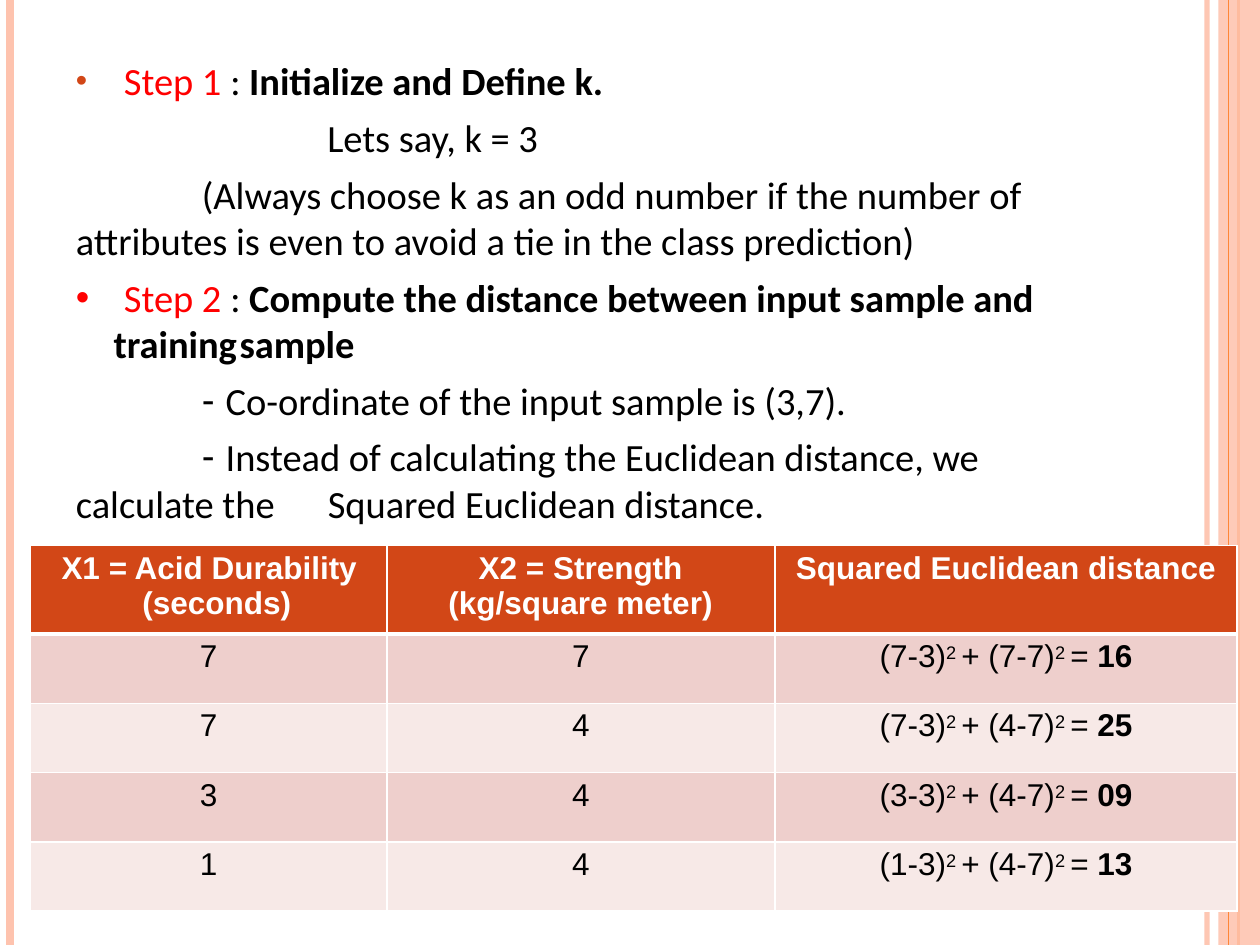
from collections import namedtuple
from dataclasses import dataclass

from lxml.etree import SubElement
from pptx import Presentation
from pptx.dml.color import RGBColor as RGB
from pptx.enum.shapes import MSO_CONNECTOR as CONN, MSO_SHAPE as SHAPE
from pptx.enum.text import PP_ALIGN as ALIGN
from pptx.oxml.ns import qn
from pptx.util import Cm, Pt

Box = namedtuple("Box", "x y w h")


@dataclass(frozen=True)
class Theme:
    peach: str = "FEC3AE"
    orange: str = "FE8637"
    rust: str = "D24717"
    band_dark: str = "EECFCC"
    band_light: str = "F7E9E7"
    red: str = "FF0000"
    black: str = "000000"
    white: str = "FFFFFF"
    body_font: str = "Calibri"
    table_font: str = "Arial"
    body_size: int = 22
    table_size: int = 18


T = Theme()


def add_run(p, text, font, size, color, bold=False, superscript=False):
    r = p.add_run()
    r.text = text
    r.font.name, r.font.size, r.font.bold = font, Pt(size), bold
    r.font.color.rgb = RGB.from_string(color)
    if superscript:
        r.font._element.set("baseline", "25000")


def set_indent(p, left, first):
    pPr = p._p.get_or_add_pPr()
    pPr.set("marL", str(Cm(left)))
    pPr.set("indent", str(Cm(first)))
    return pPr


def set_bullet(pPr, char, color=None, percent=None):
    if color:
        SubElement(SubElement(pPr, qn("a:buClr")), qn("a:srgbClr"), val=color)
    if percent:
        SubElement(pPr, qn("a:buSzPct"), val=str(percent * 1000))
    if char == "•":
        SubElement(pPr, qn("a:buFont"), typeface=T.table_font)
    SubElement(pPr, qn("a:buChar"), char=char)


def set_alpha(fill_parent, percent):
    color = next(fill_parent.iter(qn("a:srgbClr")))
    SubElement(color, qn("a:alpha"), val=str(percent * 1000))


def add_stripe(s, box, x, color, width, alpha=None):
    line = s.shapes.add_connector(CONN.STRAIGHT, Cm(box.x + x), Cm(box.y),
                                  Cm(box.x + x), Cm(box.y + box.h))
    line.line.color.rgb = RGB.from_string(color)
    line.line.width = Pt(width)
    if alpha:
        set_alpha(line._element.spPr, alpha)
    SubElement(line._element.spPr, qn("a:effectLst"))


def add_side_stripes(s, box):
    band_w = 0.84
    add_stripe(s, box, 24.33, T.peach, 3, alpha=93)
    add_stripe(s, box, 0.2, T.peach, 4.5)
    add_stripe(s, box, 24.97, T.orange, 1.5)
    band = s.shapes.add_shape(SHAPE.RECTANGLE, Cm(box.x + box.w - band_w),
                              Cm(box.y), Cm(band_w), Cm(box.h))
    band.shadow.inherit = False
    band.fill.solid()
    band.fill.fore_color.rgb = RGB.from_string(T.peach)
    set_alpha(band._element.spPr, 87)
    band.line.fill.background()
    add_stripe(s, box, 24.77, T.orange, 0.75)


def add_steps(s, box):
    step, plain, dash = (1, -0.97), (0.03, 0), (3.05, -0.48)
    # indent, space before, bullet, tab stop, runs of (text, colour, bold)
    paragraphs = [
        (step, 7, ("•", T.rust, 84), None,
         [("Step 1 ", T.red, False), (": ", T.black, False),
          ("Initialize and Define k.", T.black, True)]),
        ((5.1, 0), 6, None, None, [("Lets say, k = 3", T.black, False)]),
        ((0.03, 2.54), 6, None, None,
         [("(Always choose k as an odd number if the number of attributes "
           "is even to avoid a tie in the class prediction)", T.black, False)]),
        (step, 6, ("•",), None,
         [("Step 2 ", T.red, False), (": ", T.black, False),
          ("Compute the distance between input sample and", T.black, True)]),
        ((0.79, 0), 0, None, 5.77, [("training\tsample", T.black, True)]),
        (dash, 6, ("-",), None,
         [("Co-ordinate of the input sample is (3,7).", T.black, False)]),
        (dash, 6, ("-",), None,
         [("Instead of calculating the Euclidean distance, we", T.black, False)]),
        (plain, 0, None, 8.08,
         [("calculate the\tSquared Euclidean distance.", T.black, False)]),
    ]
    tf = s.shapes.add_textbox(*map(Cm, box)).text_frame
    tf.word_wrap = True
    tf.margin_left = tf.margin_right = tf.margin_bottom = 0
    tf.margin_top = Cm(0.25)
    for i, (indent, before, bullet, tab, runs) in enumerate(paragraphs):
        p = tf.add_paragraph() if i else tf.paragraphs[0]
        p.space_before = Pt(before)
        pPr = set_indent(p, *indent)
        if bullet:
            set_bullet(pPr, *bullet)
        if tab:
            SubElement(SubElement(pPr, qn("a:tabLst")), qn("a:tab"),
                       pos=str(Cm(tab)), algn="l")
        for text, color, bold in runs:
            add_run(p, text, T.body_font, T.body_size, color, bold)


def style_cell(cell, fill, top, bottom):
    """Set margins, white borders (top and bottom in points) and the fill."""
    cell.margin_left = cell.margin_right = cell.margin_bottom = 0
    cell.margin_top = Cm(0.1)
    tcPr = cell._tc.get_or_add_tcPr()
    for side, width in (("L", 1), ("R", 1), ("T", top), ("B", bottom)):
        ln = SubElement(tcPr, qn(f"a:ln{side}"), w=str(Pt(width)))
        SubElement(SubElement(ln, qn("a:solidFill")), qn("a:srgbClr"), val=T.white)
    cell.fill.solid()
    cell.fill.fore_color.rgb = RGB.from_string(fill)


def distance_runs(x1, x2, total):
    """Runs of (text, bold, superscript) for the distance to (3,7)."""
    return [(f"({x1}-3)", False, False), ("2 ", False, True),
            ("+ ", False, False), (f"({x2}-7)", False, False),
            ("2 ", False, True), ("= ", False, False), (total, True, False)]


def add_distance_table(s, box):
    # header text with its hanging indent; None centres it
    headers = [("X1 = Acid Durability (seconds)", (2.26, -1.63)),
               ("X2 = Strength (kg/square meter)", (1.24, 0.61)),
               ("Squared Euclidean distance", None)]
    samples = [("7", "7", "16"), ("7", "4", "25"), ("3", "4", "09"), ("1", "4", "13")]
    header_h = 1.78
    row_h = (box.h - header_h) / len(samples)

    table = s.shapes.add_table(len(samples) + 1, len(headers), *map(Cm, box)).table
    for col, width in zip(table.columns, (7.19, 7.82, 9.32)):
        col.width = Cm(width)
    for i, row in enumerate(table.rows):
        row.height = Cm(row_h if i else header_h)

    for c, (text, indent) in enumerate(headers):
        cell = table.cell(0, c)
        style_cell(cell, T.rust, 1, 3)
        p = cell.text_frame.paragraphs[0]
        p.space_before = Pt(3.2)
        if indent:
            set_indent(p, *indent)
        else:
            p.alignment = ALIGN.CENTER
        add_run(p, text, T.table_font, T.table_size, T.white, True)

    for i, (x1, x2, total) in enumerate(samples, 1):
        columns = [[(x1, False, False)], [(x2, False, False)],
                   distance_runs(x1, x2, total)]
        for c, runs in enumerate(columns):
            cell = table.cell(i, c)
            style_cell(cell, T.band_dark if i % 2 else T.band_light,
                       3 if i == 1 else 1, 1)
            p = cell.text_frame.paragraphs[0]
            p.space_before = Pt(3.2)
            p.alignment = ALIGN.CENTER
            for text, bold, superscript in runs:
                add_run(p, text, T.table_font, T.table_size, T.black,
                        bold, superscript)


def main():
    prs = Presentation()
    prs.slide_width, prs.slide_height = Cm(25.4), Cm(19.05)
    s = prs.slides.add_slide(prs.slide_layouts[6])
    add_side_stripes(s, Box(0, 0, 25.4, 19.05))
    add_steps(s, Box(1.5, 0.91, 21.79, 9.78))
    add_distance_table(s, Box(0.61, 11, 24.33, 7.37))
    prs.save("out.pptx")


if __name__ == "__main__":
    main()
